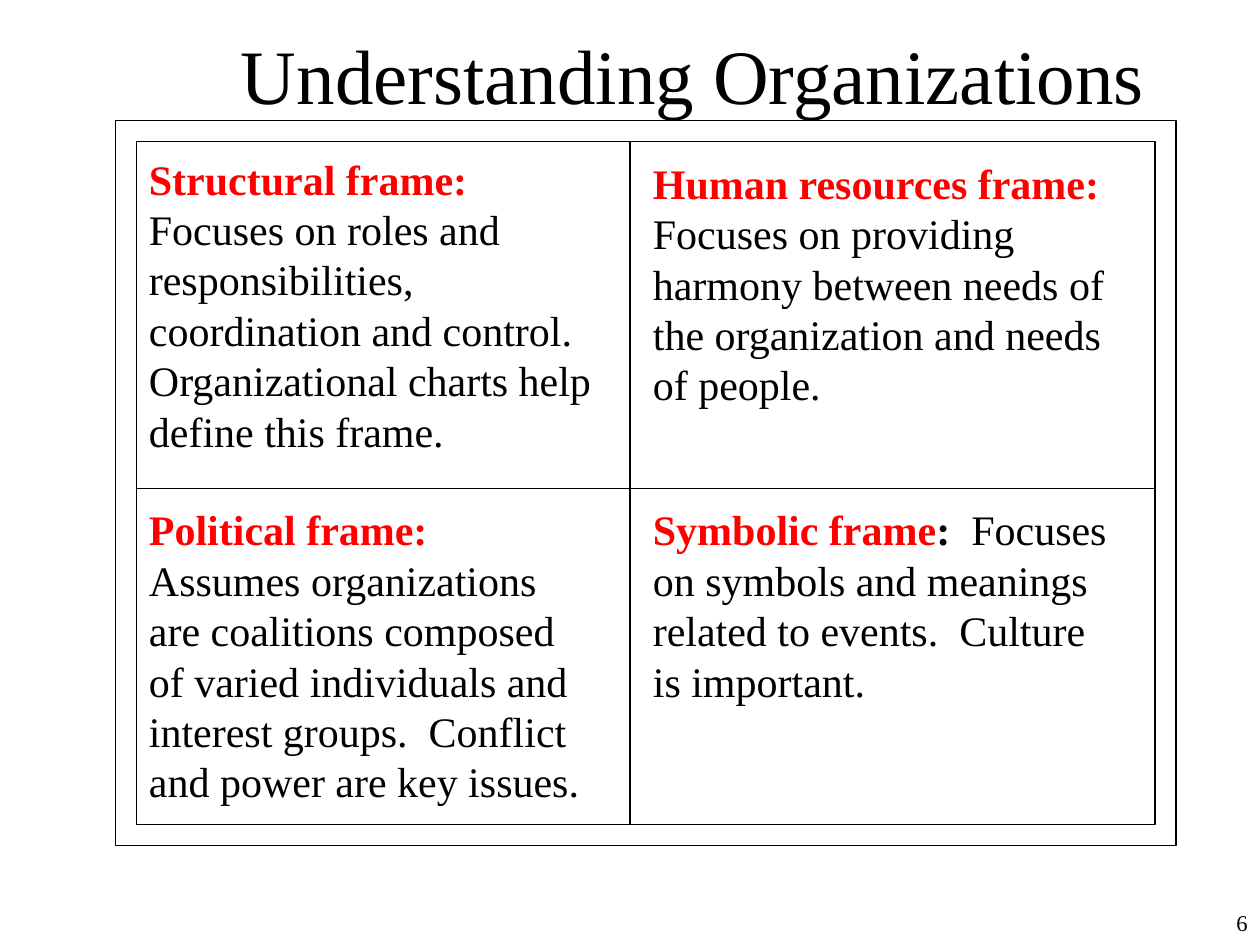
from dataclasses import dataclass

import lxml.etree
import pptx
import pptx.dml.color
import pptx.enum.shapes
import pptx.enum.text
import pptx.oxml.ns
import pptx.util

BLACK = pptx.dml.color.RGBColor(0x00, 0x00, 0x00)
RED = pptx.dml.color.RGBColor(0xFF, 0x00, 0x00)
FONT_NAME = "Times New Roman"
GRID_UNIT = pptx.util.Inches(10) / 120


@dataclass(frozen=True)
class Area:
    column: float
    row: float
    columns: float
    rows: float

    def lengths(self) -> tuple[int, ...]:
        return tuple(
            grid(value) for value in (self.column, self.row, self.columns, self.rows)
        )


@dataclass(frozen=True)
class Phrase:
    text: str
    color: pptx.dml.color.RGBColor = BLACK
    bold: bool = False


@dataclass(frozen=True)
class Frame:
    area: Area
    phrases: tuple[Phrase, ...]


OUTER_BORDER = Area(11, 11.5, 101, 69)
MATRIX = Area(13, 13.5, 97, 65)
MIDDLE_COLUMN = 60
MIDDLE_ROW = 46.5

FRAMES = (
    Frame(Area(13, 14, 46, 30), (
        Phrase("Structural frame:  ", RED, True),
        Phrase("Focuses on roles and responsibilities, coordination and control. "
               "Organizational charts help define this frame."),
    )),
    Frame(Area(61, 14.4, 47, 25.2), (
        Phrase("Human resources frame:  ", RED, True),
        Phrase("Focuses on providing harmony between needs of the organization "
               "and needs of people."),
    )),
    Frame(Area(13, 47.4, 45, 30), (
        Phrase("Political frame:  ", RED, True),
        Phrase("Assumes organizations are coalitions composed of varied individuals "
               "and interest groups.  Conflict and power are key issues."),
    )),
    Frame(Area(61, 47.4, 47, 20.4), (
        Phrase("Symbolic frame", RED, True),
        Phrase(":", BLACK, True),
        Phrase("  Focuses on symbols and meanings related to events.  "
               "Culture is important."),
    )),
)


def grid(units: float) -> int:
    return round(units * GRID_UNIT)


def format_font(font, size: float, color=BLACK, bold: bool = False) -> None:
    font.name = FONT_NAME
    font.size = pptx.util.Pt(size)
    font.color.rgb = color
    font.bold = bold


def add_title(slide, text: str, area: Area) -> None:
    title = slide.shapes.title
    title.left, title.top, title.width, title.height = area.lengths()
    title.text_frame.text = text
    title.text_frame.vertical_anchor = pptx.enum.text.MSO_ANCHOR.MIDDLE
    paragraph = title.text_frame.paragraphs[0]
    paragraph.alignment = pptx.enum.text.PP_ALIGN.CENTER
    format_font(paragraph.runs[0].font, 44)


def add_border(slide, area: Area) -> None:
    border = slide.shapes.add_shape(
        pptx.enum.shapes.MSO_SHAPE.RECTANGLE, *area.lengths()
    )
    border.shadow.inherit = False
    border.fill.background()
    border.line.color.rgb = BLACK
    border.line.width = pptx.util.Pt(0.75)


def add_divider(slide, start: tuple[float, float], end: tuple[float, float]) -> None:
    divider = slide.shapes.add_connector(
        pptx.enum.shapes.MSO_CONNECTOR.STRAIGHT,
        *(grid(value) for value in start + end),
    )
    divider.line.color.rgb = BLACK
    divider.line.width = pptx.util.Pt(0.75)
    lxml.etree.SubElement(
        divider._element.spPr, pptx.oxml.ns.qn("a:effectLst")
    )


def add_frame(slide, frame: Frame) -> None:
    text_frame = slide.shapes.add_textbox(*frame.area.lengths()).text_frame
    text_frame.word_wrap = True
    text_frame.auto_size = pptx.enum.text.MSO_AUTO_SIZE.SHAPE_TO_FIT_TEXT
    paragraph = text_frame.paragraphs[0]
    paragraph.line_spacing = pptx.util.Pt(28.8)
    for phrase in frame.phrases:
        run = paragraph.add_run()
        run.text = phrase.text
        format_font(run.font, 24, phrase.color, phrase.bold)


def add_page_number(slide, number: str, area: Area) -> None:
    text_frame = slide.shapes.add_textbox(*area.lengths()).text_frame
    text_frame.word_wrap = True
    text_frame.text = number
    paragraph = text_frame.paragraphs[0]
    paragraph.alignment = pptx.enum.text.PP_ALIGN.RIGHT
    format_font(paragraph.runs[0].font, 12.9)


def main() -> None:
    presentation = pptx.Presentation()
    presentation.slide_width = grid(120)
    presentation.slide_height = grid(90)
    slide = presentation.slides.add_slide(presentation.slide_layouts[5])

    add_title(slide, "Understanding Organizations", Area(12, 0, 108, 14))
    add_border(slide, MATRIX)
    right = MATRIX.column + MATRIX.columns
    bottom = MATRIX.row + MATRIX.rows
    add_divider(slide, (MIDDLE_COLUMN, MATRIX.row), (MIDDLE_COLUMN, bottom))
    add_divider(slide, (MATRIX.column, MIDDLE_ROW), (right, MIDDLE_ROW))
    for frame in FRAMES:
        add_frame(slide, frame)
    add_border(slide, OUTER_BORDER)
    add_page_number(slide, "6", Area(107, 86, 13, 4))

    presentation.save("out.pptx")


if __name__ == "__main__":
    main()
